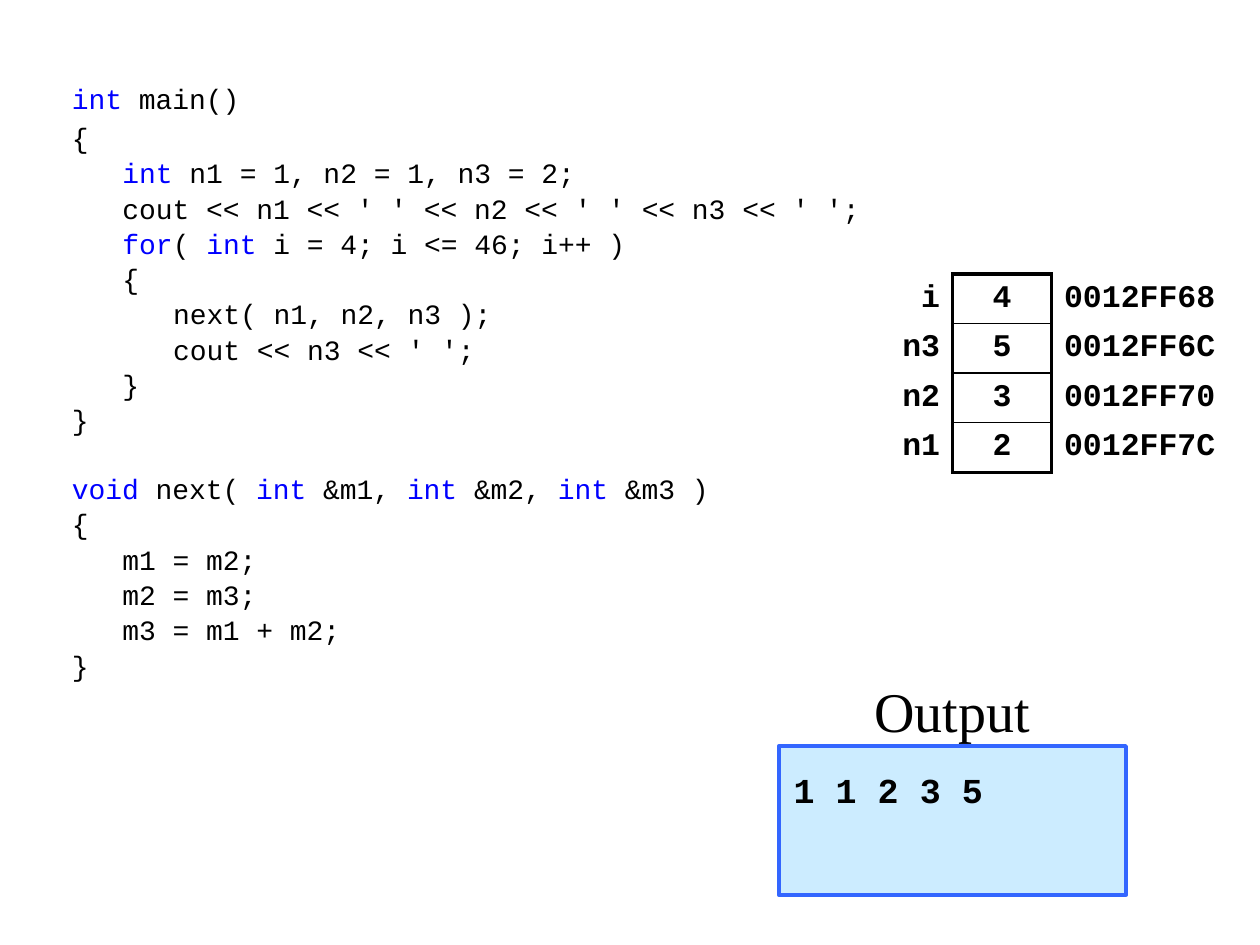
import pptx
import pptx.dml.color
import pptx.enum.shapes
import pptx.enum.text
import pptx.oxml
import pptx.oxml.ns
import pptx.util
from pptx.util import Cm

ALIGN = pptx.enum.text.PP_ALIGN
MONO = "Courier New"
BLACK = "000000"
KEYWORD = "0000FF"

# Indent level and text of each line; keywords stand between backticks.
MAIN_FUNCTION = [
    (0, "`int` main()"),
    (0, "{"),
    (1, "`int` n1 = 1, n2 = 1, n3 = 2;"),
    (1, "cout << n1 << ' ' << n2 << ' ' << n3 << ' ';"),
    (1, "`for`( `int `i = 4; i <= 46; i++ )"),
    (1, "{"),
    (2, "next( n1, n2, n3 );"),
    (2, "cout << n3 << ' ';"),
    (1, "}"),
    (0, "}"),
]
NEXT_FUNCTION = [
    (0, "`void` next( `int `&m1, `int `&m2, `int `&m3 )"),
    (0, "{"),
    (1, "m1 = m2;"),
    (1, "m2 = m3;"),
    (1, "m3 = m1 + m2;"),
    (0, "}"),
]
MEMORY = [
    ("i", "4", "0012FF68"),
    ("n3", "5", "0012FF6C"),
    ("n2", "3", "0012FF70"),
    ("n1", "2", "0012FF7C"),
]


def color(hex_code):
    return pptx.dml.color.RGBColor.from_string(hex_code)


def format_run(run, size, font=MONO, hex_code=BLACK, bold=False):
    run.font.size = pptx.util.Pt(size)
    run.font.name = font
    run.font.bold = bold
    run.font.color.rgb = color(hex_code)


def set_insets(frame, left, top, right, bottom):
    frame.margin_left, frame.margin_top = Cm(left), Cm(top)
    frame.margin_right, frame.margin_bottom = Cm(right), Cm(bottom)


def set_borders(cell, **widths):
    """Draw the named sides (L, R, T, B) in points and hide the others."""
    properties = cell._tc.get_or_add_tcPr()
    for side in "LRTB":
        line = pptx.oxml.parse_xml(
            f'<a:ln{side} {pptx.oxml.ns.nsdecls("a")}/>')
        if side in widths:
            line.set("w", str(pptx.util.Pt(widths[side])))
            line.append(pptx.oxml.parse_xml(
                f'<a:solidFill {pptx.oxml.ns.nsdecls("a")}>'
                f'<a:srgbClr val="{BLACK}"/></a:solidFill>'))
        else:
            line.append(pptx.oxml.parse_xml(
                f'<a:noFill {pptx.oxml.ns.nsdecls("a")}/>'))
        properties.append(line)


class CodeSlide:
    code_size = 16
    indent = Cm(1.02)  # three characters
    thick, thin = 2.25, 1

    def __init__(self, presentation):
        self.slide = presentation.slides.add_slide(presentation.slide_layouts[6])

    def code(self, functions, left, top, width, height):
        frame = self.slide.shapes.add_textbox(
            Cm(left), Cm(top), Cm(width), Cm(height)).text_frame
        frame.word_wrap = True
        paragraph = None
        for function_number, lines in enumerate(functions):
            for line_number, (level, line) in enumerate(lines):
                paragraph = frame.add_paragraph() if paragraph else frame.paragraphs[0]
                if function_number == 0:
                    space = 3 if line_number < 2 else 1
                else:
                    space = 20 if line_number == 0 else 1
                paragraph.space_before = pptx.util.Pt(space)
                paragraph._p.get_or_add_pPr().set("marL", str(self.indent * level))
                for part_number, part in enumerate(line.split("`")):
                    if part:
                        run = paragraph.add_run()
                        run.text = part
                        format_run(run, self.code_size,
                                   hex_code=KEYWORD if part_number % 2 else BLACK)

    def memory_table(self, rows, left, top, widths, row_height):
        table = self.slide.shapes.add_table(
            len(rows), len(widths), Cm(left), Cm(top),
            Cm(sum(widths)), Cm(row_height * len(rows))).table
        table.first_row = table.horz_banding = False
        for column, width in zip(table.columns, widths):
            column.width = Cm(width)
        last = len(rows) - 1
        for number, (name, value, address) in enumerate(rows):
            table.rows[number].height = Cm(row_height)
            value_borders = dict(L=self.thick, R=self.thick,
                                 T=self.thin if number else self.thick,
                                 B=self.thin if number < last else self.thick)
            self.cell(table.cell(number, 0), "", ALIGN.LEFT)
            self.cell(table.cell(number, 1), name, ALIGN.RIGHT, R=self.thick)
            self.cell(table.cell(number, 2), value, ALIGN.CENTER, **value_borders)
            self.cell(table.cell(number, 3), address, ALIGN.LEFT, L=self.thick)

    def cell(self, cell, text, align, **borders):
        set_insets(cell, 0.25, 0, 0.2 if align == ALIGN.LEFT else 0.25, 0)
        cell.vertical_anchor = pptx.enum.text.MSO_ANCHOR.MIDDLE
        set_borders(cell, **borders)
        cell.fill.background()
        paragraph = cell.text_frame.paragraphs[0]
        paragraph.text = text
        paragraph.alignment = align
        for run in paragraph.runs:
            format_run(run, 18, bold=True)

    def output_box(self, text, left, top, width, height):
        box = self.slide.shapes.add_shape(
            pptx.enum.shapes.MSO_SHAPE.RECTANGLE,
            Cm(left), Cm(top), Cm(width), Cm(height))
        box.shadow.inherit = False
        box.fill.solid()
        box.fill.fore_color.rgb = color("CCECFF")
        box.line.color.rgb = color("3366FF")
        box.line.width = pptx.util.Pt(self.thick)
        frame = box.text_frame
        frame.vertical_anchor = pptx.enum.text.MSO_ANCHOR.TOP
        set_insets(frame, 0.3, 0.45, 0.25, 0.13)
        frame.text = text
        frame.paragraphs[0].alignment = ALIGN.LEFT
        format_run(frame.paragraphs[0].runs[0], 20, bold=True)

    def heading(self, text, left, top, width, height):
        frame = self.slide.shapes.add_textbox(
            Cm(left), Cm(top), Cm(width), Cm(height)).text_frame
        frame.word_wrap = False
        set_insets(frame, 0.25, 0.1, 0.25, 0)
        frame.text = text
        frame.paragraphs[0].alignment = ALIGN.CENTER
        format_run(frame.paragraphs[0].runs[0], 32, font="Times New Roman")


def main():
    presentation = pptx.Presentation()
    presentation.slide_width, presentation.slide_height = Cm(25.4), Cm(19.05)
    page = CodeSlide(presentation)
    page.code([MAIN_FUNCTION, NEXT_FUNCTION], 1.2, 1.52, 16.5, 12)
    page.memory_table(MEMORY, 16.2, 5.52, [1.5, 1.5, 2, 3.5], 1)
    page.output_box("1 1 2 3 5", 15.7, 15.04, 7, 3)
    page.heading("Output", 17.2, 13.54, 4, 1.5)
    presentation.save("out.pptx")


if __name__ == "__main__":
    main()
